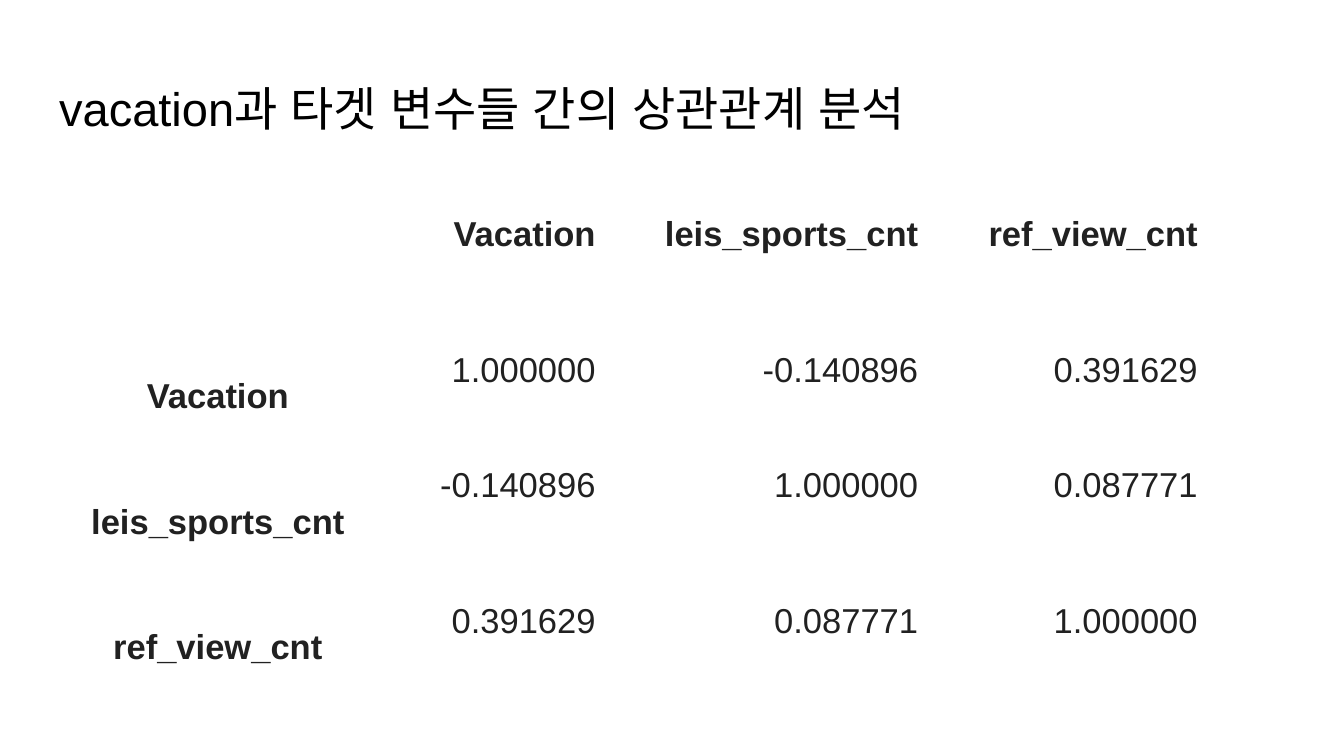
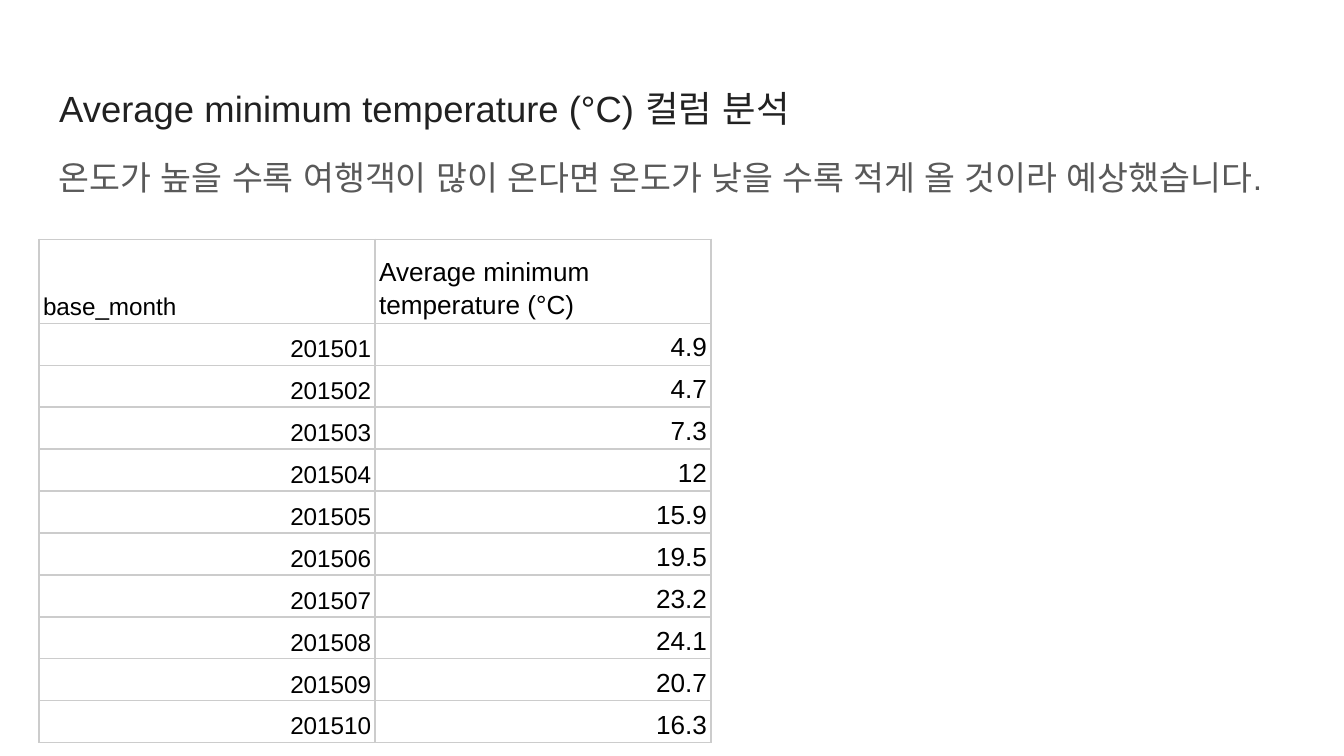
from dataclasses import dataclass
from typing import Callable

from lxml import etree
from pptx import Presentation
from pptx import util as u
from pptx.dml.color import RGBColor
from pptx.enum import text
from pptx.oxml.ns import qn

FONT = "Arial"
BLACK, DARK, GREY, LINE, WHITE = "000000", "212121", "595959", "CCCCCC", "FFFFFF"
LEFT, CENTER, RIGHT = text.PP_ALIGN.LEFT, text.PP_ALIGN.CENTER, text.PP_ALIGN.RIGHT
TOP, MIDDLE, BOTTOM = text.MSO_ANCHOR.TOP, text.MSO_ANCHOR.MIDDLE, text.MSO_ANCHOR.BOTTOM
SLIDE_WIDTH = 10
SLIDE_HEIGHT = SLIDE_WIDTH * 9 / 16
MARGIN, CONTENT_WIDTH = 0.34, 9.32
MONTH_ROW = 5 / 16


@dataclass(frozen=True)
class TextStyle:
    size: float
    color: str = BLACK
    bold: bool = False
    align: int = LEFT
    anchor: int = TOP
    spacing: float = 1.15
    before: float = 0
    after: float = 0


@dataclass(frozen=True)
class TableSpec:
    left: float
    top: float
    cols: list[float]
    heights: list[float]
    rows: list[list[str]]
    inset: tuple[float, float]
    style: Callable[[int, int], TextStyle]
    fill: str | None = None
    border: str | None = None


def rgb(value: str) -> RGBColor:
    return RGBColor.from_string(value)


def format_paragraph(p, style: TextStyle) -> None:
    p.alignment = style.align
    p.line_spacing = style.spacing
    p.space_before = u.Pt(style.before)
    p.space_after = u.Pt(style.after)
    f = p.font
    f.name = FONT
    f.size = u.Pt(style.size)
    f.bold = style.bold
    f.color.rgb = rgb(style.color)
    etree.SubElement(f._element, qn("a:ea"), typeface=FONT)


def fill_box(sp, top: float, height: float, content: str, style: TextStyle) -> None:
    sp.left, sp.top = u.Inches(MARGIN), u.Inches(top)
    sp.width, sp.height = u.Inches(CONTENT_WIDTH), u.Inches(height)
    tf = sp.text_frame
    tf.word_wrap = True
    tf.auto_size = text.MSO_AUTO_SIZE.NONE
    tf.vertical_anchor = style.anchor
    tf.margin_left = tf.margin_right = tf.margin_top = tf.margin_bottom = u.Inches(0.1)
    tf.text = content
    format_paragraph(tf.paragraphs[0], style)


def add_titled_slide(prs, title: str, style: TextStyle):
    s = prs.slides.add_slide(prs.slide_layouts.get_by_name("Title Only"))
    fill_box(s.shapes.title, 0.49, 0.63, title, style)
    return s


def add_borders(cell, color: str) -> None:
    tc_pr = cell._tc.get_or_add_tcPr()
    for i, side in enumerate("LRTB"):
        ln = etree.Element(qn(f"a:ln{side}"), w=str(u.Pt(0.75)))
        solid = etree.SubElement(ln, qn("a:solidFill"))
        etree.SubElement(solid, qn("a:srgbClr"), val=color)
        tc_pr.insert(i, ln)


def draw_table(s, spec: TableSpec) -> None:
    frame = s.shapes.add_table(
        len(spec.rows), len(spec.cols), u.Inches(spec.left), u.Inches(spec.top),
        u.Inches(sum(spec.cols)), u.Inches(sum(spec.heights)))
    table = frame.table
    table.first_row = table.horz_banding = False
    for col, width in zip(table.columns, spec.cols):
        col.width = u.Inches(width)
    for row, height in zip(table.rows, spec.heights):
        row.height = u.Inches(height)
    for i, values in enumerate(spec.rows):
        for j, value in enumerate(values):
            cell, style = table.cell(i, j), spec.style(i, j)
            cell.margin_left = cell.margin_right = u.Inches(spec.inset[0])
            cell.margin_top = cell.margin_bottom = u.Inches(spec.inset[1])
            cell.vertical_anchor = style.anchor
            if spec.fill:
                cell.fill.solid()
                cell.fill.fore_color.rgb = rgb(spec.fill)
            else:
                cell.fill.background()
            if spec.border:
                add_borders(cell, spec.border)
            cell.text = value
            format_paragraph(cell.text_frame.paragraphs[0], style)


def correlation_style(i: int, j: int) -> TextStyle:
    if j == 0:
        return TextStyle(18.5, DARK, True, CENTER, MIDDLE)
    return TextStyle(18.5, DARK, i == 0, RIGHT)


def temperature_style(i: int, j: int) -> TextStyle:
    return TextStyle((13, 14)[j], align=RIGHT if i else LEFT, anchor=BOTTOM)


def correlation_slide(prs) -> None:
    s = add_titled_slide(prs, "vacation과 타겟 변수들 간의 상관관계 분석",
                         TextStyle(25.2, spacing=1.0))
    rows = [
        ["", "Vacation", "leis_sports_cnt", "ref_view_cnt"],
        ["Vacation", "1.000000", "-0.140896", "0.391629"],
        ["leis_sports_cnt", "-0.140896", "1.000000", "0.087771"],
        ["ref_view_cnt", "0.391629", "0.087771", "1.000000"],
    ]
    draw_table(s, TableSpec(0.42, 1.49, [2.4, 1.68, 2.4, 2.08], [1.01, 0.86] * 2, rows,
                            (0.07, 0.07), correlation_style, fill=WHITE))


def temperature_slide(prs) -> None:
    s = add_titled_slide(prs, "Average minimum temperature (°C) 컬럼 분석",
                         TextStyle(19.5, DARK, before=7))
    body = s.shapes.add_textbox(0, 0, 0, 0)
    fill_box(body, 1.02, 3.74,
             "온도가 높을 수록 여행객이 많이 온다면 온도가 낮을 수록 적게 올 것이라 예상했습니다.",
             TextStyle(18, GREY, after=12))
    temperatures = ["4.9", "4.7", "7.3", "12", "15.9", "19.5", "23.2", "24.1", "20.7", "16.3"]
    rows = [["base_month", "Average minimum temperature (°C)"]]
    rows += [[str(month), value] for month, value in enumerate(temperatures, 201501)]
    heights = [2 * MONTH_ROW] + [MONTH_ROW] * len(temperatures)
    draw_table(s, TableSpec(0.29, 1.78, [2.5] * 2, heights, rows,
                            (0.03, 0.02), temperature_style, border=LINE))


def main() -> None:
    prs = Presentation()
    prs.slide_width, prs.slide_height = u.Inches(SLIDE_WIDTH), u.Inches(SLIDE_HEIGHT)
    correlation_slide(prs)
    temperature_slide(prs)
    prs.save("out.pptx")


if __name__ == "__main__":
    main()
